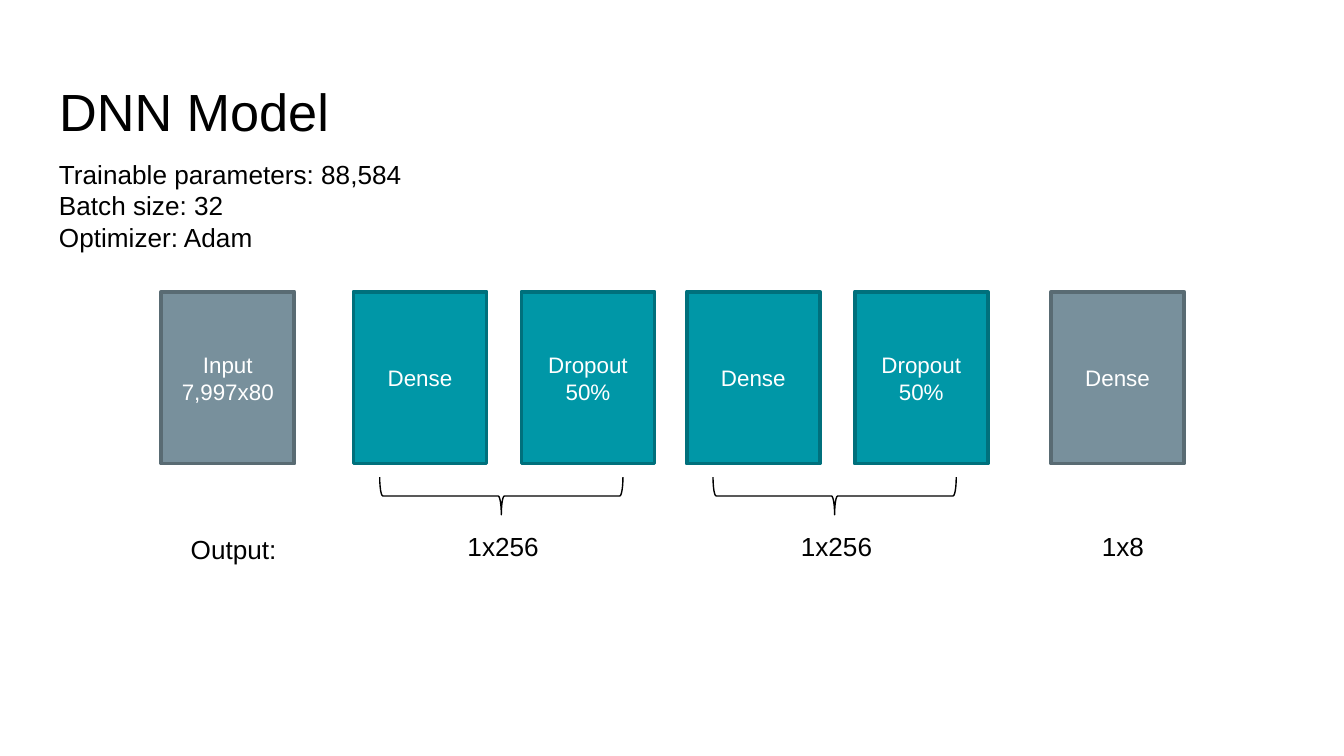
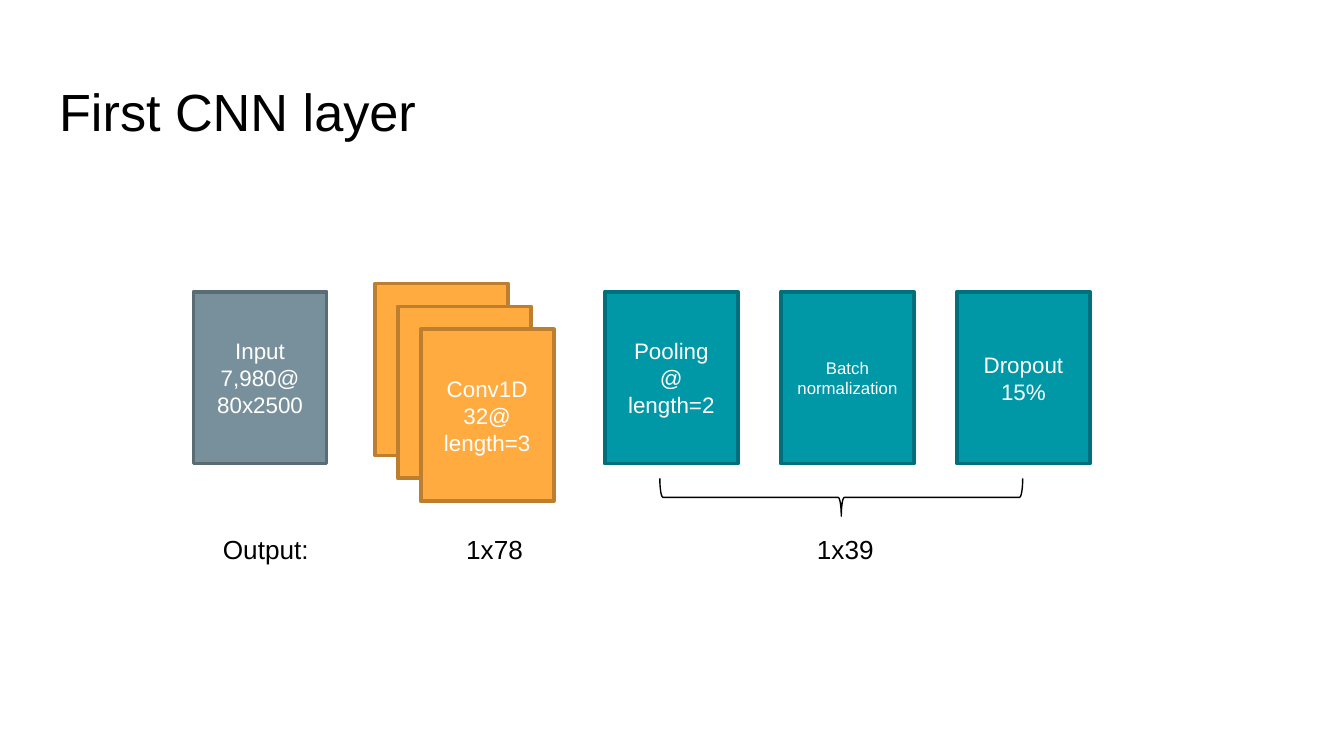
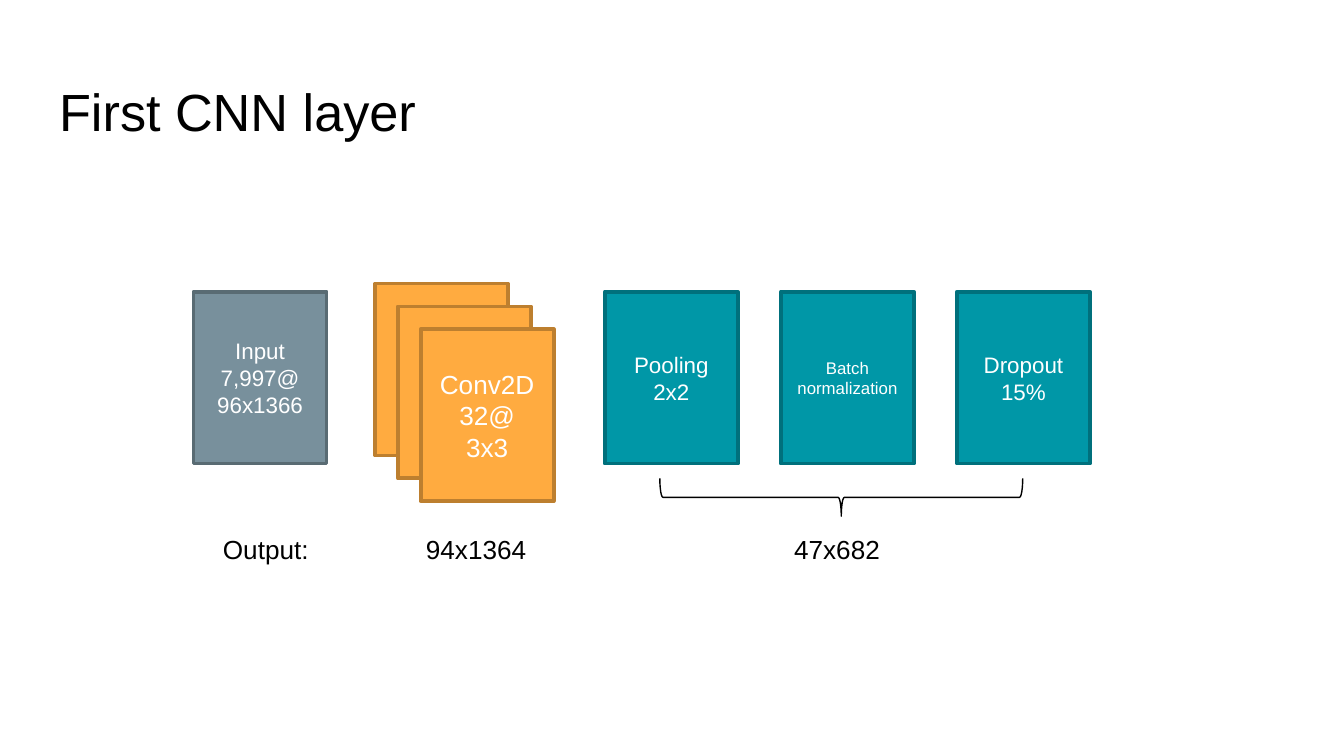
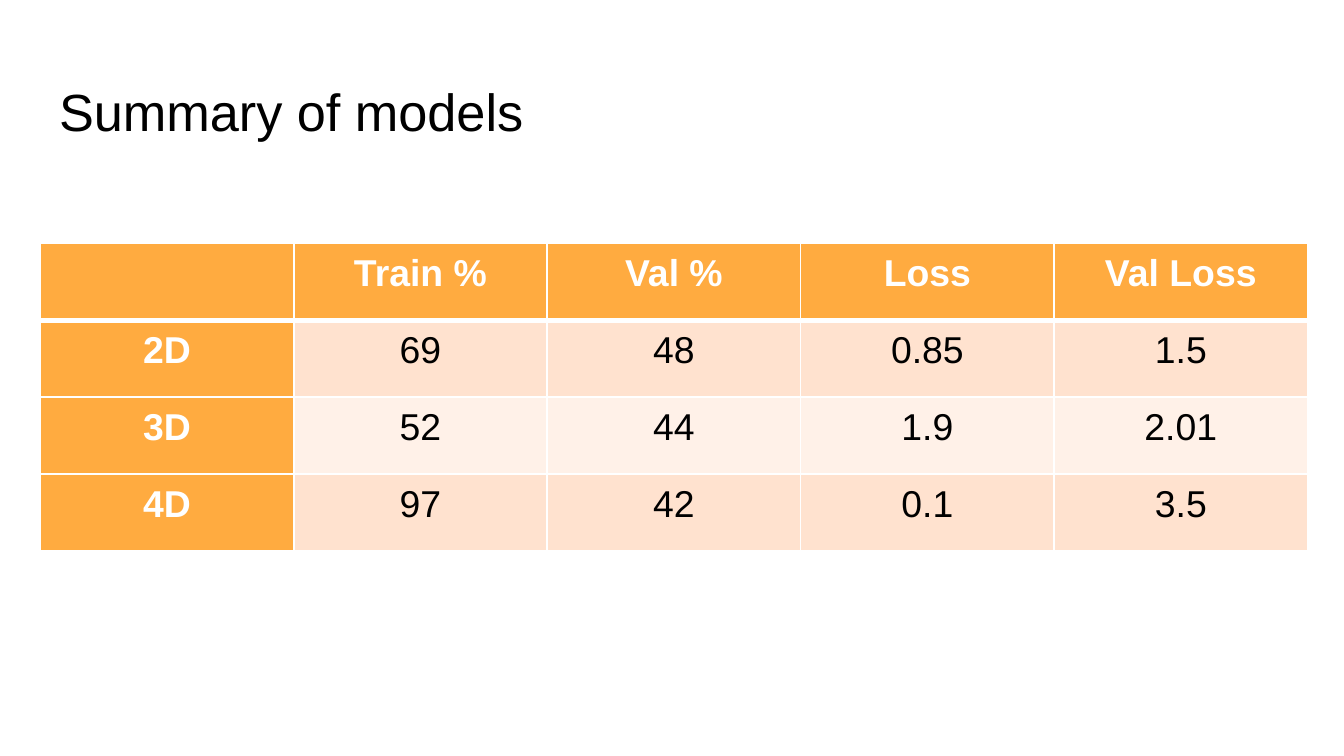
from dataclasses import dataclass

from lxml import etree
from pptx import Presentation
from pptx.dml.color import RGBColor
from pptx.enum.shapes import MSO_SHAPE
from pptx.enum.text import MSO_ANCHOR, MSO_AUTO_SIZE, PP_ALIGN
from pptx.oxml.ns import qn
from pptx.presentation import Presentation as Deck
from pptx.slide import Slide
from pptx.util import Inches, Pt

RECT, BRACE = MSO_SHAPE.RECTANGLE, MSO_SHAPE.LEFT_BRACE
TOP, MIDDLE = MSO_ANCHOR.TOP, MSO_ANCHOR.MIDDLE
LEFT, CENTER = PP_ALIGN.LEFT, PP_ALIGN.CENTER
FIXED, GROW = MSO_AUTO_SIZE.NONE, MSO_AUTO_SIZE.SHAPE_TO_FIT_TEXT

# Shared look
FONT = "Arial"
COLORS = {
    "black": "000000", "white": "FFFFFF",
    "gray": "78909C", "gray_edge": "596B73",
    "teal": "0097A7", "teal_edge": "00707C",
    "amber": "FFAB40", "amber_edge": "BD7F2F",
    "peach": "FFE2CF", "cream": "FFF1E8",
}
BOX_W, BOX_H, BOX_TOP = 0.99, 1.28, 2.17
NOTE_TOP = 3.92


@dataclass
class Box:
    x: float
    text: str
    tone: str = "teal"
    y: float = BOX_TOP
    size: int = 12


@dataclass
class Note:
    x: float
    text: str
    y: float = NOTE_TOP
    w: float = BOX_W
    h: float = 0.34


@dataclass
class Brace:
    mid_x: float
    mid_y: float
    span: float


@dataclass
class Layer:
    data: str
    conv: Box
    pool: str
    notes: list[Note]


def rgb(name: str) -> RGBColor:
    return RGBColor.from_string(COLORS[name])


def style(frame, size: int, color: str, align=LEFT, bold: bool = False) -> None:
    for par in frame.paragraphs:
        par.alignment = align
        font = par.font
        font.name, font.size, font.bold = FONT, Pt(size), bold
        font.color.rgb = rgb(color)


def add_slide(deck: Deck, title: str) -> Slide:
    slide = deck.slides.add_slide(deck.slide_layouts[5])
    head = slide.shapes.title
    head.left, head.top = Inches(0.34), Inches(0.49)
    head.width, head.height = Inches(9.32), Inches(0.63)
    frame = head.text_frame
    frame.text = title
    frame.auto_size, frame.vertical_anchor = FIXED, TOP
    frame.margin_left = frame.margin_right = Inches(0.1)
    frame.margin_top = frame.margin_bottom = Inches(0.1)
    style(frame, 28, "black")
    return slide


def draw_box(slide: Slide, box: Box) -> None:
    shape = slide.shapes.add_shape(
        RECT, Inches(box.x), Inches(box.y), Inches(BOX_W), Inches(BOX_H))
    shape.shadow.inherit = False
    shape.fill.solid()
    shape.fill.fore_color.rgb = rgb(box.tone)
    shape.line.color.rgb = rgb(box.tone + "_edge")
    shape.line.width = Pt(2)
    frame = shape.text_frame
    frame.text = box.text
    frame.word_wrap, frame.vertical_anchor = True, MIDDLE
    style(frame, box.size, "white", CENTER)


def draw_note(slide: Slide, note: Note) -> None:
    shape = slide.shapes.add_textbox(
        Inches(note.x), Inches(note.y), Inches(note.w), Inches(note.h))
    frame = shape.text_frame
    frame.text = note.text
    frame.word_wrap, frame.auto_size = True, GROW
    style(frame, 14, "black")


def draw_brace(slide: Slide, brace: Brace) -> None:
    depth = 0.28
    shape = slide.shapes.add_shape(
        BRACE, Inches(brace.mid_x - depth / 2),
        Inches(brace.mid_y - brace.span / 2),
        Inches(depth), Inches(brace.span))
    shape.rotation = 270
    shape.shadow.inherit = False
    shape.fill.background()
    shape.line.color.rgb = rgb("black")
    shape.line.width = Pt(0.75)


def add_dnn(deck: Deck) -> None:
    slide = add_slide(deck, "DNN Model")
    draw_note(slide, Note(
        0.34, "Trainable parameters: 88,584\nBatch size: 32\nOptimizer: Adam",
        1.13, 5.39, 0.81))
    draw_box(slide, Box(1.2, "Input\n7,997x80", "gray"))
    draw_note(slide, Note(1.32, "Output:"))
    # Two hidden blocks
    for x in (2.63, 5.11):
        draw_box(slide, Box(x, "Dense"))
        draw_box(slide, Box(x + 1.25, "Dropout\n50%"))
        draw_brace(slide, Brace(x + 1.1, 3.69, 1.81))
        draw_note(slide, Note(x + 0.75, "1x256", 3.9))
    draw_box(slide, Box(7.82, "Dense", "gray"))
    draw_note(slide, Note(8.1, "1x8", 3.9))


def add_cnn(deck: Deck, layer: Layer) -> None:
    slide = add_slide(deck, "First CNN layer")
    # Stack of filters, front one last
    conv = layer.conv
    for back in (2, 1):
        shift = back * 0.17
        draw_box(slide, Box(conv.x - shift, "", conv.tone, conv.y - shift))
    draw_box(slide, conv)
    draw_box(slide, Box(1.44, layer.data, "gray"))
    # Steps after the convolution
    steps = ((layer.pool, 12), ("Batch normalization", 9), ("Dropout\n15%", 12))
    for i, (text, size) in enumerate(steps):
        draw_box(slide, Box(4.5 + i * 1.31, text, size=size))
    draw_brace(slide, Brace(6.26, 3.7, 2.7))
    for note in [Note(1.56, "Output:"), *layer.notes]:
        draw_note(slide, note)


def add_edges(cell, bottom: float) -> None:
    props = cell._tc.get_or_add_tcPr()
    for side, width in (("L", 1), ("R", 1), ("T", 1), ("B", bottom)):
        line = etree.SubElement(props, qn(f"a:ln{side}"), w=str(Pt(width)))
        fill = etree.SubElement(line, qn("a:solidFill"))
        etree.SubElement(fill, qn("a:srgbClr"), val=COLORS["white"])


def add_summary(deck: Deck) -> None:
    slide = add_slide(deck, "Summary of models")
    rows = (
        ("", "Train %", "Val %", "Loss", "Val Loss"),
        ("2D", "69", "48", "0.85", "1.5"),
        ("3D", "52", "44", "1.9", "2.01"),
        ("4D", "97", "42", "0.1", "3.5"),
    )
    table = slide.shapes.add_table(
        len(rows), len(rows[0]), Inches(0.3), Inches(1.81),
        Inches(9.43), Inches(2.29)).table
    table.first_col = True
    for r, row in enumerate(rows):
        for c, text in enumerate(row):
            cell = table.cell(r, c)
            head = r == 0 or c == 0
            cell.text = text
            cell.margin_left = cell.margin_right = Inches(0.14)
            cell.margin_top = cell.margin_bottom = Inches(0.07)
            add_edges(cell, 3 if r == 0 else 1)
            cell.fill.solid()
            band = "peach" if r % 2 else "cream"
            cell.fill.fore_color.rgb = rgb("amber" if head else band)
            style(cell.text_frame, 20, "white" if head else "black", CENTER, head)


LAYERS = (
    Layer("Input\n7,980@\n80x2500",
          Box(3.13, "Conv1D\n32@\nlength=3", "amber", 2.45),
          "Pooling\n@\nlength=2",
          [Note(3.37, "1x78"), Note(5.98, "1x39")]),
    Layer("Input\n7,997@\n96x1366",
          Box(3.13, "Conv2D\n32@\n3x3", "amber", 2.45, 14),
          "Pooling\n2x2",
          [Note(3.07, "94x1364"), Note(5.81, "47x682")]),
)


def main() -> None:
    deck = Presentation()
    # Widescreen, 16 to 9
    deck.slide_width = Inches(10)
    deck.slide_height = Inches(10) * 9 // 16
    add_dnn(deck)
    for layer in LAYERS:
        add_cnn(deck, layer)
    add_summary(deck)
    deck.save("out.pptx")


if __name__ == "__main__":
    main()
